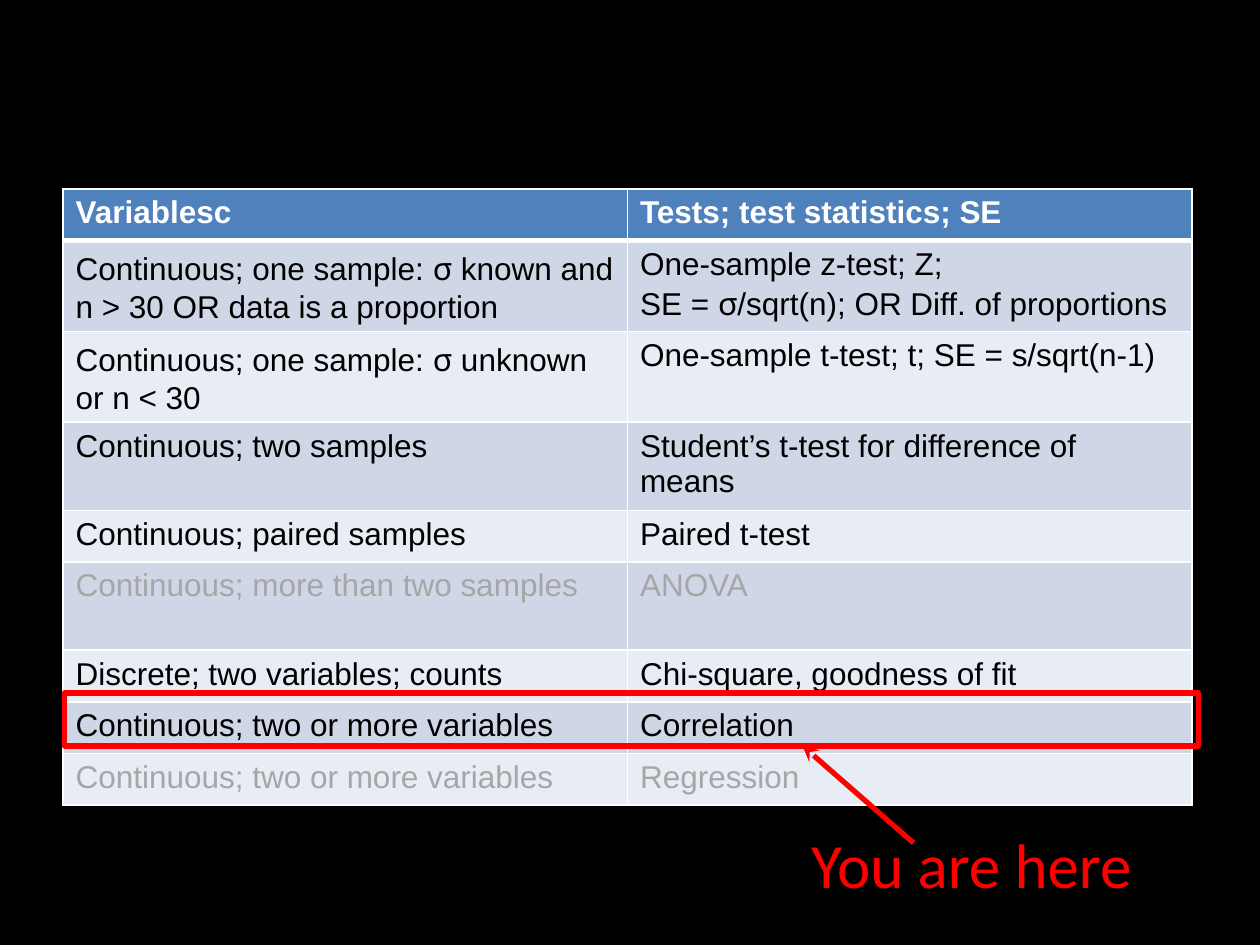
from itertools import product
from typing import NamedTuple

from lxml.etree import SubElement
from pptx import Presentation
from pptx.dml.color import RGBColor
from pptx.enum.shapes import MSO_CONNECTOR as Connector, MSO_SHAPE as Preset
from pptx.oxml.ns import qn
from pptx.util import Inches, Pt

COLORS = {
    "background": "000000", "header": "4F81BD", "odd": "CFD7E7", "even": "E8ECF4",
    "border": "FFFFFF", "heading": "FFFFFF", "body": "000000",
    "faded": "A6A6A6", "accent": "FF0000",
}
COLUMNS, ROWS = 100, 75  # slide grid
UNIT = Inches(0.1)


class Area(NamedTuple):
    col: float
    row: float
    cols: float
    rows: float

    def lengths(self) -> list[int]:
        return [round(value * UNIT) for value in self]


class TestRow(NamedTuple):
    variables: str
    test: str
    height: float = 4.1
    tone: str = "body"


TALL = 7
TESTS = [
    TestRow("Variablesc", "Tests; test statistics; SE", tone="heading"),
    TestRow("Continuous; one sample: σ known and n > 30 OR data is a proportion",
            "One-sample z-test; Z;\nSE = σ/sqrt(n); OR Diff. of proportions", TALL),
    TestRow("Continuous; one sample: σ unknown or n < 30",
            "One-sample t-test; t; SE = s/sqrt(n-1)", TALL),
    TestRow("Continuous; two samples", "Student’s t-test for difference of means", TALL),
    TestRow("Continuous; paired samples", "Paired t-test"),
    TestRow("Continuous; more than two samples", "ANOVA", TALL, "faded"),
    TestRow("Discrete; two variables; counts", "Chi-square, goodness of fit"),
    TestRow("Continuous; two or more variables", "Correlation"),
    TestRow("Continuous; two or more variables", "Regression", tone="faded"),
]
TABLE = Area(5, 15, 89.6, sum(test.height for test in TESTS))
HIGHLIGHT = Area(5.1, 55, 90, 4.2)
CAPTION = Area(63.4, 65, 31.7, 7.1)
ARROW = (72.5, 66.9, 63.7, 59.2)  # start and end in grid units


def rgb(name: str) -> RGBColor:
    return RGBColor.from_string(COLORS[name])


def add_span(para, text: str, color: str, **formats) -> None:
    span = para.add_run()
    span.text = text
    for name, value in formats.items():
        setattr(span.font, name, value)
    span.font.color.rgb = rgb(color)


def write_cell(cell, text: str, tone: str) -> None:
    frame = cell.text_frame
    for index, line in enumerate(text.split("\n")):
        para = frame.add_paragraph() if index else frame.paragraphs[0]
        # Greek sigma has its own font
        for part in filter(None, line.partition("σ")):
            add_span(para, part, tone, size=Pt(18), bold=tone == "heading",
                     name="Noto Sans" if part == "σ" else "Arial")


def add_border(cell, side: str, width: float) -> None:
    line = SubElement(cell._tc.get_or_add_tcPr(), qn(f"a:ln{side}"), w=str(Pt(width)))
    fill = SubElement(line, qn("a:solidFill"))
    SubElement(fill, qn("a:srgbClr"), val=COLORS["border"])


def add_tests(page) -> None:
    table = page.shapes.add_table(len(TESTS), 2, *TABLE.lengths()).table
    for column in table.columns:
        column.width = round(TABLE.cols / 2 * UNIT)
    for index, test in enumerate(TESTS):
        table.rows[index].height = round(test.height * UNIT)
    for (index, test), column in product(enumerate(TESTS), range(2)):
        cell = table.cell(index, column)
        for side in "LRTB":
            under_header = (index, side) in ((0, "B"), (1, "T"))
            add_border(cell, side, 3 if under_header else 1)
        cell.fill.solid()
        band = "header" if index == 0 else "odd" if index % 2 else "even"
        cell.fill.fore_color.rgb = rgb(band)
        write_cell(cell, (test.variables, test.test)[column], test.tone)


def style_line(line) -> None:
    line.color.rgb = rgb("accent")
    line.width = Pt(3)


def add_highlight(page) -> None:
    box = page.shapes.add_shape(Preset.RECTANGLE, *HIGHLIGHT.lengths())
    box.shadow.inherit = False
    box.fill.background()
    style_line(box.line)


def add_arrow(page) -> None:
    ends = [round(value * UNIT) for value in ARROW]
    arrow = page.shapes.add_connector(Connector.STRAIGHT, *ends)
    style_line(arrow.line)
    SubElement(arrow.line._get_or_add_ln(), qn("a:tailEnd"), type="stealth")
    SubElement(arrow._element.spPr, qn("a:effectLst"))


def add_caption(page) -> None:
    box = page.shapes.add_textbox(*CAPTION.lengths())
    box.text_frame.word_wrap = True
    add_span(box.text_frame.paragraphs[0], "You are here", "accent",
             size=Pt(36), name="Calibri")


def main() -> None:
    deck = Presentation()
    deck.slide_width, deck.slide_height = COLUMNS * UNIT, ROWS * UNIT
    page = deck.slides.add_slide(deck.slide_layouts[6])
    page.background.fill.solid()
    page.background.fill.fore_color.rgb = rgb("background")
    # Table of tests, then the marker for the current topic
    add_tests(page)
    add_highlight(page)
    add_arrow(page)
    add_caption(page)
    deck.save("out.pptx")


if __name__ == "__main__":
    main()
